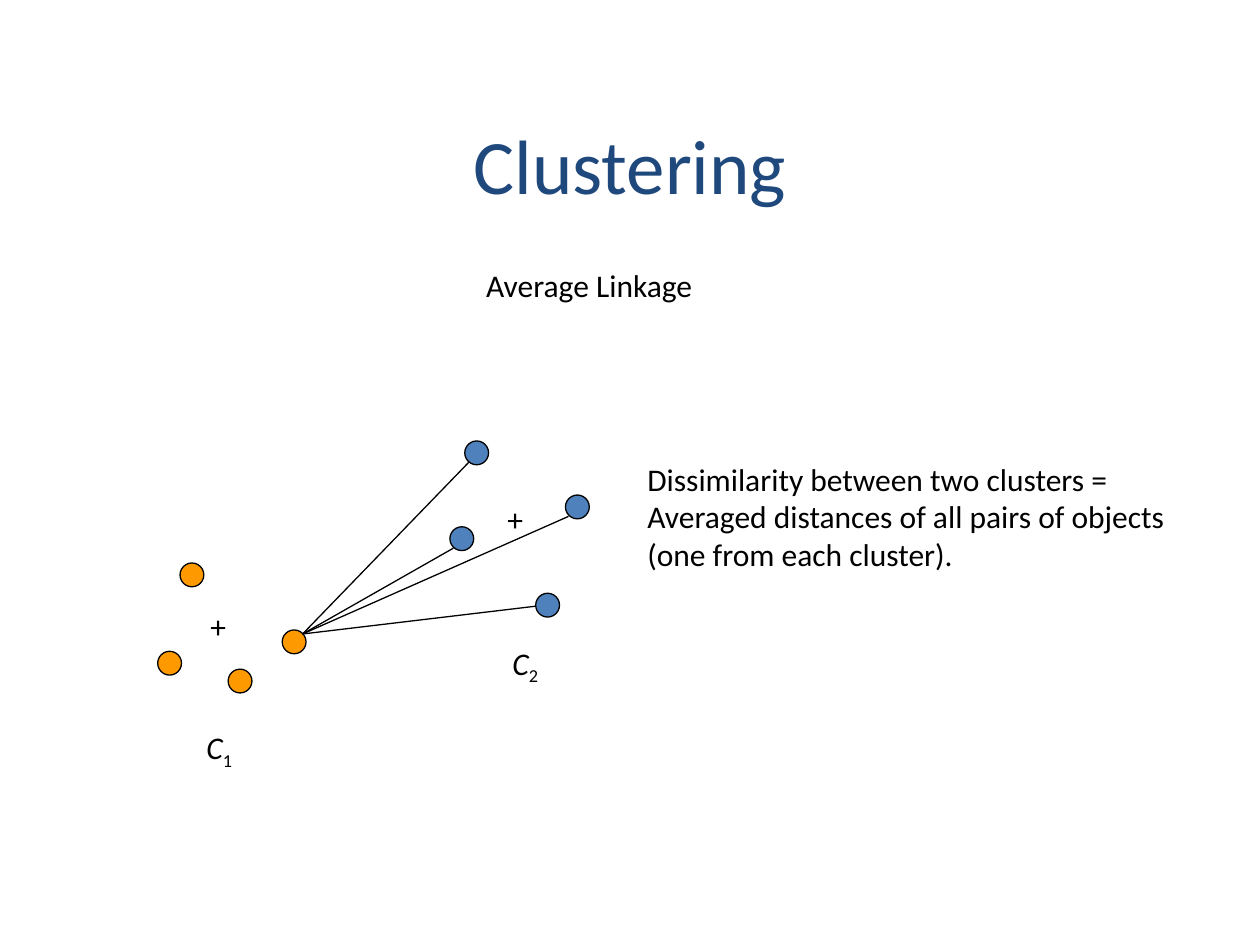
from typing import NamedTuple

from pptx import Presentation
from pptx.dml.color import RGBColor
from pptx.enum.shapes import MSO_CONNECTOR, MSO_SHAPE
from pptx.enum.text import MSO_ANCHOR, PP_ALIGN
from pptx.oxml.ns import qn
from pptx.util import Cm, Pt
from lxml.etree import SubElement

BLACK, NAVY, BLUE, ORANGE = "000000", "1F497D", "4F81BD", "FF9900"
DOT_SIZE = 0.48
LINE_WIDTH = 0.75


class Point(NamedTuple):
    x: float
    y: float


class Cluster(NamedTuple):
    color: str
    dots: list[Point]


class Label(NamedTuple):
    text: str
    left: float
    top: float
    width: float
    height: float = 1.27
    subscript: str = ""


CLUSTERS = [
    Cluster(BLUE, [Point(9.37, 8.89), Point(9.07, 10.62), Point(11.4, 9.98), Point(10.8, 11.96)]),
    Cluster(ORANGE, [Point(3.63, 11.35), Point(3.18, 13.13), Point(4.6, 13.49), Point(5.69, 12.7)]),
]
LINK_START = Point(6.1, 12.78)
LINK_ENDS = [Point(9.14, 11.05), Point(10.8, 12.22), Point(11.46, 10.41), Point(9.45, 9.32)]
LABELS = [
    Label("+", 9.98, 9.96, 0.99),
    Label("+", 3.99, 12.12, 0.99),
    Label("Average Linkage", 9.55, 5.23, 6.35),
    Label("C", 3.91, 14.55, 1.35, subscript="1"),
    Label("C", 10.08, 12.85, 1.35, subscript="2"),
    Label(
        "Dissimilarity between two clusters = Averaged distances of all pairs "
        "of objects (one from each cluster).",
        12.8, 9.14, 11.91, 4.32,
    ),
]


def rgb(color: str) -> RGBColor:
    return RGBColor.from_string(color)


def add_run(paragraph, text: str, color: str = BLACK, **formats):
    run = paragraph.add_run()
    run.text = text
    for name, value in {"name": "Calibri", "size": Pt(18), **formats}.items():
        setattr(run.font, name, value)
    run.font.color.rgb = rgb(color)
    return run


def set_outline(line) -> None:
    line.color.rgb = rgb(BLACK)
    line.width = Pt(LINE_WIDTH)


def add_title(slide, text: str) -> None:
    title = slide.shapes.title
    position = {"left": 1.9, "top": 1.7, "width": 21.6, "height": 3.18}
    for name, value in position.items():
        setattr(title, name, Cm(value))
    title.text_frame.vertical_anchor = MSO_ANCHOR.MIDDLE
    paragraph = title.text_frame.paragraphs[0]
    paragraph.alignment = PP_ALIGN.CENTER
    add_run(paragraph, text, NAVY, size=Pt(44))


def add_dot(slide, corner: Point, color: str) -> None:
    dot = slide.shapes.add_shape(
        MSO_SHAPE.OVAL, Cm(corner.x), Cm(corner.y), Cm(DOT_SIZE), Cm(DOT_SIZE)
    )
    dot.shadow.inherit = False
    dot.fill.solid()
    dot.fill.fore_color.rgb = rgb(color)
    set_outline(dot.line)


def add_link(slide, start: Point, end: Point) -> None:
    link = slide.shapes.add_connector(
        MSO_CONNECTOR.STRAIGHT, Cm(start.x), Cm(start.y), Cm(end.x), Cm(end.y)
    )
    set_outline(link.line)
    SubElement(link._element.spPr, qn("a:effectLst"))


def add_label(slide, label: Label) -> None:
    box = slide.shapes.add_textbox(
        Cm(label.left), Cm(label.top), Cm(label.width), Cm(label.height)
    )
    box.text_frame.word_wrap = True
    paragraph = box.text_frame.paragraphs[0]
    if label.subscript:
        add_run(paragraph, label.text, italic=True)
        subscript = add_run(paragraph, label.subscript, italic=False)
        subscript._r.get_or_add_rPr().set("baseline", "-25000")
    else:
        add_run(paragraph, label.text)


def main() -> None:
    presentation = Presentation()
    presentation.slide_width, presentation.slide_height = Cm(25.4), Cm(19.05)
    slide = presentation.slides.add_slide(presentation.slide_layouts.get_by_name("Title Only"))
    add_title(slide, "Clustering")
    for cluster in CLUSTERS:
        for dot in cluster.dots:
            add_dot(slide, dot, cluster.color)
    for label in LABELS:
        add_label(slide, label)
    for end in LINK_ENDS:
        add_link(slide, LINK_START, end)
    presentation.save("out.pptx")


if __name__ == "__main__":
    main()
